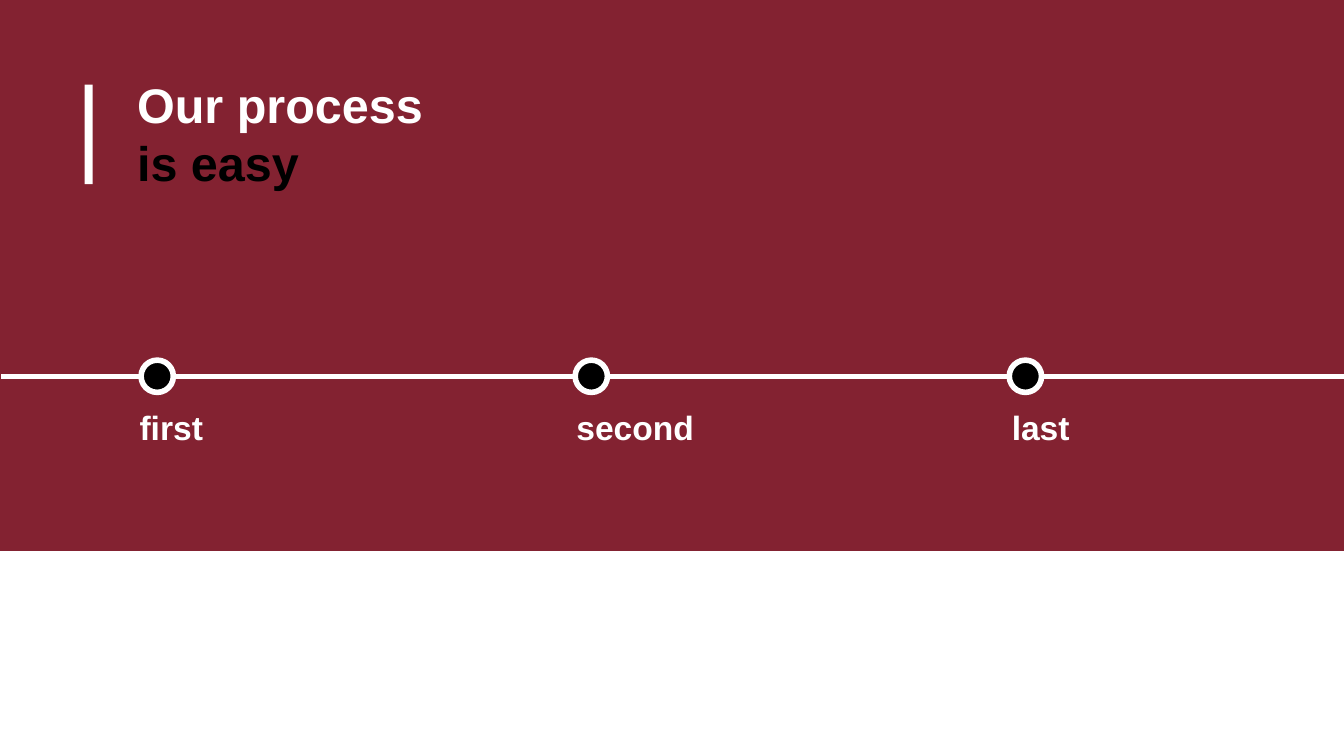
from lxml import etree
from pptx import Presentation
from pptx.dml.color import RGBColor
from pptx.enum.shapes import MSO_CONNECTOR, MSO_SHAPE
from pptx.enum.text import MSO_ANCHOR, PP_ALIGN
from pptx.oxml.ns import qn
from pptx.util import Inches, Pt

RED, WHITE, BLACK = "832231", "FFFFFF", "000000"


def color(hex_text):
    return RGBColor.from_string(hex_text)


def add_filled_shape(slide, kind, left, top, width, height, fill, outline=None):
    shape = slide.shapes.add_shape(
        kind, Inches(left), Inches(top), Inches(width), Inches(height))
    shape.shadow.inherit = False
    shape.fill.solid()
    shape.fill.fore_color.rgb = color(fill)
    if outline:
        shape.line.color.rgb = color(outline)
        shape.line.width = Pt(3)
    else:
        shape.line.fill.background()
    return shape


def write_lines(shape, lines, size):
    """Fill a shape with one bold paragraph per (text, colour) pair."""
    frame = shape.text_frame
    frame_format = {"word_wrap": True, "vertical_anchor": MSO_ANCHOR.TOP}
    for side in ("left", "top", "right", "bottom"):
        frame_format[f"margin_{side}"] = Inches(0.1)
    for name, value in frame_format.items():
        setattr(frame, name, value)
    for index, (text, hex_text) in enumerate(lines):
        paragraph = frame.paragraphs[0] if index == 0 else frame.add_paragraph()
        paragraph_format = {"alignment": PP_ALIGN.LEFT, "line_spacing": 1.0,
                            "space_before": Pt(0)}
        for name, value in paragraph_format.items():
            setattr(paragraph, name, value)
        run = paragraph.add_run()
        run.text = text
        font_format = {"name": "Arial", "size": Pt(size), "bold": True}
        for name, value in font_format.items():
            setattr(run.font, name, value)
        run.font.color.rgb = color(hex_text)


def add_heading(slide, left, top, width, height):
    # Accent bar, then the title beside it
    add_filled_shape(slide, MSO_SHAPE.RECTANGLE, left, top + 0.17, 0.06, 0.74, WHITE)
    title = slide.shapes.title
    box = {"left": left + 0.29, "top": top, "width": width - 0.29, "height": height}
    for name, value in box.items():
        setattr(title, name, Inches(value))
    write_lines(title, [("Our process", WHITE), ("is easy", BLACK)], 26)
    # Bring the title in front of the band
    slide.shapes._spTree.append(title._element)


def add_timeline(slide, left, top, width, labels):
    # Axis through the middle of the markers
    diameter, first_offset, step = 0.24, 1.04, 3.23
    axis_top = top + diameter / 2
    axis = slide.shapes.add_connector(
        MSO_CONNECTOR.STRAIGHT, Inches(left), Inches(axis_top),
        Inches(left + width), Inches(axis_top))
    axis.line.color.rgb = color(WHITE)
    axis.line.width = Pt(3)
    etree.SubElement(axis._element.spPr, qn("a:effectLst"))

    # Markers
    marker_lefts = [left + first_offset + index * step for index in range(len(labels))]
    for marker_left in marker_lefts:
        add_filled_shape(slide, MSO_SHAPE.OVAL, marker_left, top,
                         diameter, diameter, BLACK, WHITE)

    # Labels, each with its own indent and width
    for marker_left, (label, indent, label_width) in zip(marker_lefts, labels):
        label_box = slide.shapes.add_textbox(
            Inches(marker_left - indent), Inches(top + 0.25),
            Inches(label_width), Inches(0.45))
        write_lines(label_box, [(label, WHITE)], 18)


def main():
    presentation = Presentation()
    presentation.slide_width = Inches(10)
    presentation.slide_height = Inches(10) * 9 // 16
    slide = presentation.slides.add_slide(presentation.slide_layouts[5])

    # Coloured upper band
    add_filled_shape(slide, MSO_SHAPE.RECTANGLE, 0, 0, 10, 4.1, RED)
    add_heading(slide, 0.63, 0.46, 3.82, 0.94)
    add_timeline(slide, 0.01, 2.68, 9.99, [
        ("first", 0.11, 1.29), ("second", 0.09, 1.29), ("last", 0.08, 1.17)])
    presentation.save("out.pptx")


if __name__ == "__main__":
    main()
